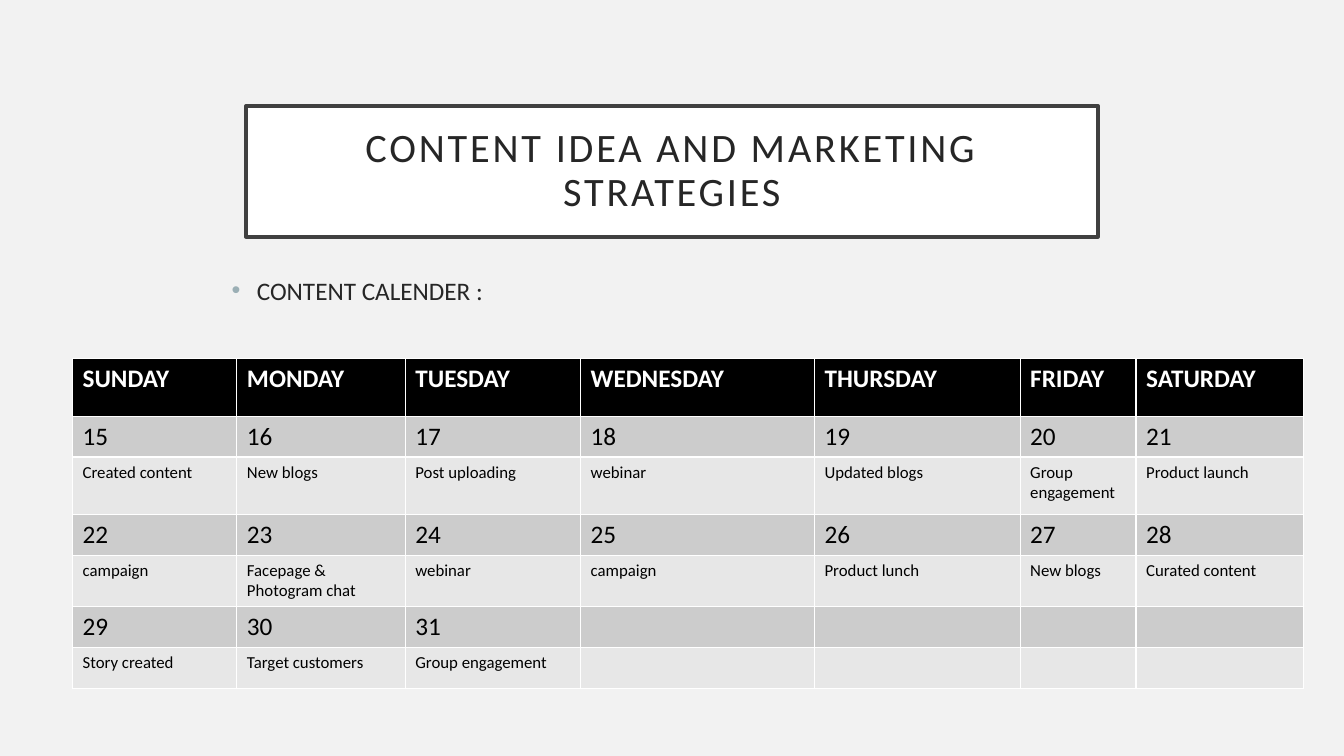
from dataclasses import dataclass

from lxml import etree
from pptx import Presentation
from pptx import util as u
from pptx.dml.color import RGBColor
from pptx.enum import text
from pptx.oxml import ns

SLIDE_WIDTH = u.Inches(13.33)
SLIDE_HEIGHT = u.Inches(7.5)
FONT = "Calibri"
BLACK = RGBColor(0x00, 0x00, 0x00)
WHITE = RGBColor(0xFF, 0xFF, 0xFF)
INK = RGBColor(0x26, 0x26, 0x26)
FRAME = RGBColor(0x40, 0x40, 0x40)
PAPER = RGBColor(0xF2, 0xF2, 0xF2)
DATE_GREY = RGBColor(0xCC, 0xCC, 0xCC)
EVENT_GREY = RGBColor(0xE7, 0xE7, 0xE7)
BULLET_BLUE = "9BAFB5"

DAYS = ["SUNDAY", "MONDAY", "TUESDAY", "WEDNESDAY", "THURSDAY", "FRIDAY", "SATURDAY"]
LAST_DATE = 31
COLUMN_PERCENTS = [12.23, 12.53, 13.05, 17.4, 15.3, 8.63, 12.45]
ROW_PERCENTS = [7.6, 5.4, 7.6, 5.4, 6.8, 5.4, 5.47]


@dataclass
class Area:
    left: float
    top: float
    width: float
    height: float

    def lengths(self) -> tuple[int, int, int, int]:
        return across(self.left), down(self.top), across(self.width), down(self.height)


@dataclass
class Style:
    size: float
    color: RGBColor
    bold: bool = False


@dataclass
class Row:
    entries: list[str]
    fill: RGBColor
    style: Style


@dataclass
class Week:
    first_date: int
    events: list[str]


TITLE_AREA = Area(18.3, 14, 63.39, 17.33)
BODY_AREA = Area(16.5, 35.73, 65.19, 48)
TABLE_AREA = Area(5.4, 47.47, sum(COLUMN_PERCENTS), sum(ROW_PERCENTS))

HEADER_STYLE = Style(18, WHITE, True)
DATE_STYLE = Style(18, BLACK)
EVENT_STYLE = Style(12, BLACK)

WEEKS = [
    Week(15, ["Created content", "New blogs", "Post uploading", "webinar",
              "Updated blogs", "Group engagement", "Product launch"]),
    Week(22, ["campaign", "Facepage & Photogram chat", "webinar", "campaign",
              "Product lunch", "New blogs", "Curated content"]),
    Week(29, ["Story created", "Target customers", "Group engagement"]),
]


def across(percent: float) -> int:
    return round(SLIDE_WIDTH * percent / 100)


def down(percent: float) -> int:
    return round(SLIDE_HEIGHT * percent / 100)


def format_spans(para, style: Style) -> None:
    for span in para.runs:
        span.font.name = FONT
        span.font.size = u.Pt(style.size)
        span.font.bold = style.bold
        span.font.color.rgb = style.color


def add_title(page) -> None:
    box = page.shapes.title
    box.left, box.top, box.width, box.height = TITLE_AREA.lengths()
    box.fill.solid()
    box.fill.fore_color.rgb = WHITE
    box.line.color.rgb = FRAME
    box.line.width = u.Pt(2.5)
    frame = box.text_frame
    frame.text = "CONTENT IDEA AND MARKETING STRATEGIES"
    frame.word_wrap = True
    frame.auto_size = text.MSO_AUTO_SIZE.NONE
    frame.vertical_anchor = text.MSO_ANCHOR.MIDDLE
    frame.margin_left = frame.margin_right = u.Inches(0.2)
    frame.margin_top = frame.margin_bottom = u.Inches(0.2)
    para = frame.paragraphs[0]
    para.alignment = text.PP_ALIGN.CENTER
    para.line_spacing = 0.9
    format_spans(para, Style(28.8, INK))
    for span in para.runs:
        span.font._element.set("spc", "200")


def add_bullet(para) -> None:
    properties = para._p.get_or_add_pPr()
    properties.set("marL", str(u.Inches(0.25)))
    properties.set("indent", str(u.Inches(-0.25)))
    color = etree.SubElement(properties, ns.qn("a:buClr"))
    etree.SubElement(color, ns.qn("a:srgbClr"), val=BULLET_BLUE)
    etree.SubElement(properties, ns.qn("a:buFont"), typeface="Arial")
    etree.SubElement(properties, ns.qn("a:buChar"), char="•")


def add_body(page) -> None:
    frame = page.shapes.add_textbox(*BODY_AREA.lengths()).text_frame
    frame.word_wrap = True
    frame.text = "CONTENT CALENDER :"
    para = frame.paragraphs[0]
    para.space_before = u.Pt(10)
    add_bullet(para)
    format_spans(para, Style(18, INK))


def calendar_rows() -> list[Row]:
    rows = [Row(DAYS, BLACK, HEADER_STYLE)]
    for week in WEEKS:
        end = min(week.first_date + len(DAYS), LAST_DATE + 1)
        dates = [str(date) for date in range(week.first_date, end)]
        rows.append(Row(dates, DATE_GREY, DATE_STYLE))
        rows.append(Row(week.events, EVENT_GREY, EVENT_STYLE))
    return rows


def add_calendar(page) -> None:
    rows = calendar_rows()
    table = page.shapes.add_table(len(rows), len(DAYS), *TABLE_AREA.lengths()).table
    table.horz_banding = False
    for column, percent in zip(table.columns, COLUMN_PERCENTS):
        column.width = across(percent)
    for table_row, percent, row in zip(table.rows, ROW_PERCENTS, rows):
        table_row.height = down(percent)
        for cell in table_row.cells:
            cell.fill.solid()
            cell.fill.fore_color.rgb = row.fill
        for cell, entry in zip(table_row.cells, row.entries):
            cell.text_frame.text = entry
            format_spans(cell.text_frame.paragraphs[0], row.style)


def main() -> None:
    deck = Presentation()
    deck.slide_width = SLIDE_WIDTH
    deck.slide_height = SLIDE_HEIGHT
    page = deck.slides.add_slide(deck.slide_layouts.get_by_name("Title Only"))
    page.background.fill.solid()
    page.background.fill.fore_color.rgb = PAPER
    add_title(page)
    add_body(page)
    add_calendar(page)
    deck.save("out.pptx")


if __name__ == "__main__":
    main()
